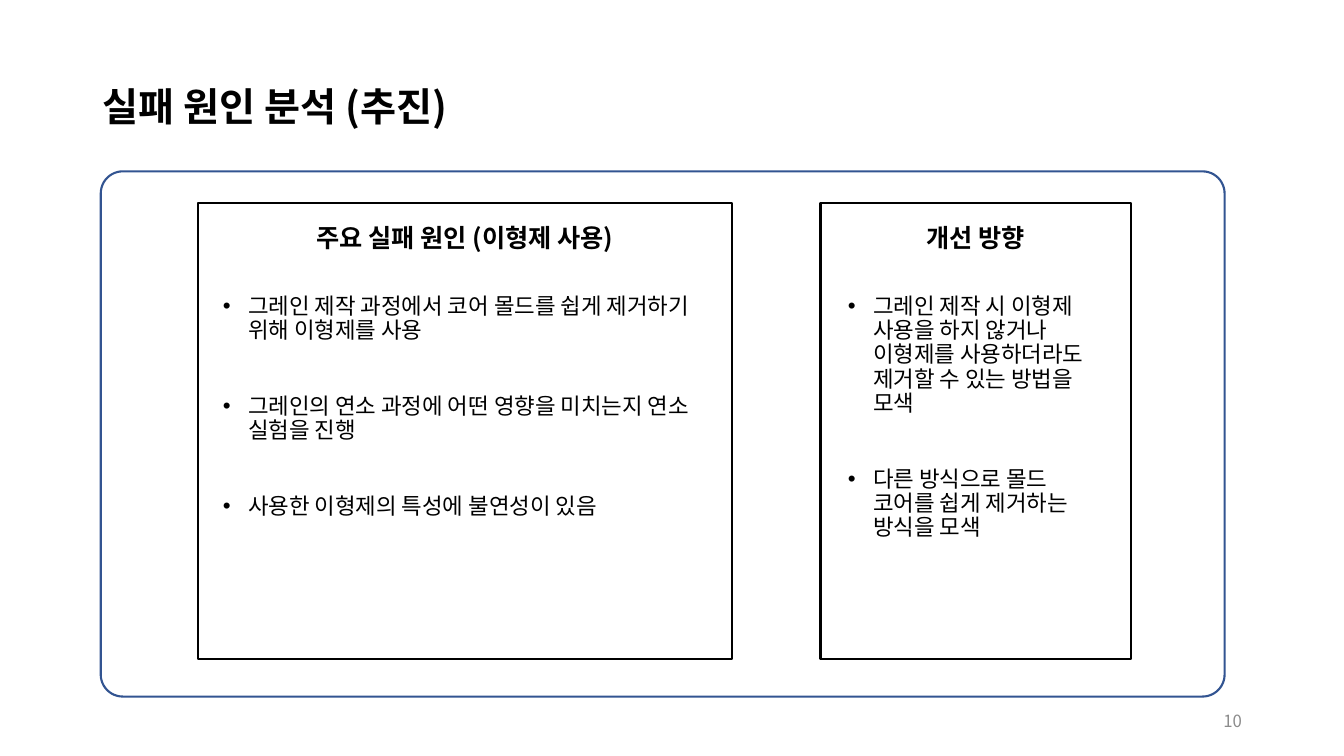
from lxml import etree
from pptx import Presentation
from pptx import util as u
from pptx.dml.color import RGBColor
from pptx.enum import shapes, text
from pptx.oxml import ns

FONT = "Noto Sans CJK KR"
COLORS = {"ink": "000000", "frame": "325491", "page": "8C8C8C"}
TITLE = "실패 원인 분석 (추진)"
PAGE = "10"
PANELS = [
    {
        "heading": "주요 실패 원인 (이형제 사용)",
        "column": (14.7, 39.75),
        "list_column": (15.83, 37.05),
        "items": [
            "그레인 제작 과정에서 코어 몰드를 쉽게 제거하기 위해 이형제를 사용",
            "그레인의 연소 과정에 어떤 영향을 미치는지 연소 실험을 진행",
            "사용한 이형제의 특성에 불연성이 있음",
        ],
    },
    {
        "heading": "개선 방향",
        "column": (61.05, 23.1),
        "list_column": (62.33, 20.25),
        "items": [
            "그레인 제작 시 이형제 사용을 하지 않거나 이형제를 사용하더라도 제거할 수 있는 방법을 모색",
            "다른 방식으로 몰드 코어를 쉽게 제거하는 방식을 모색",
        ],
    },
]
ROWS = {"panel": (26.8, 60.4), "heading": (28.8, 5.33), "list": (38.4, 46)}
FRAME = (7.5, 22.67), (83.62, 69.47)
TITLE_AREA = (6.9, 4.67), (86.25, 19.33)
PAGE_AREA = (70.65, 92.67), (22.5, 5.33)

presentation = Presentation()
presentation.slide_width = u.Inches(13.33)
presentation.slide_height = u.Inches(7.5)
slide = presentation.slides.add_slide(presentation.slide_layouts[3])


def area(start, size):
    width, height = presentation.slide_width, presentation.slide_height
    return [int(share * full / 100) for share, full in
            zip((*start, *size), (width, height, width, height))]


def cell(column, row):
    return area((column[0], row[0]), (column[1], row[1]))


def place(shape, box):
    shape.left, shape.top, shape.width, shape.height = box


def add_outline(kind, box, color):
    shape = slide.shapes.add_shape(kind, *box)
    shape.shadow.inherit = False
    shape.fill.background()
    shape.line.color.rgb = RGBColor.from_string(COLORS[color])
    shape.line.width = u.Pt(1.5)
    return shape


def add_bullet(paragraph):
    properties = paragraph._p.get_or_add_pPr()
    indent = u.Inches(0.25)
    properties.set("marL", str(indent))
    properties.set("indent", str(-indent))
    font = etree.SubElement(properties, ns.qn("a:buFont"))
    font.set("typeface", "Arial")
    etree.SubElement(properties, ns.qn("a:buChar")).set("char", "•")


def write(shape, lines, size, color="ink", bold=False, align=text.PP_ALIGN.LEFT,
          anchor=text.MSO_ANCHOR.TOP, spacing=1.0, gap=0, bullets=False):
    frame = shape.text_frame
    frame.word_wrap = True
    frame.auto_size = text.MSO_AUTO_SIZE.NONE
    frame.vertical_anchor = anchor
    for index, line in enumerate(lines):
        paragraph = frame.add_paragraph() if index else frame.paragraphs[0]
        if bullets:
            add_bullet(paragraph)
        paragraph.alignment = align
        paragraph.line_spacing = spacing
        paragraph.space_before = u.Pt(gap if index else 0)
        run = paragraph.add_run()
        run.text = line
        run.font.size = u.Pt(size)
        run.font.bold = bold
        run.font.color.rgb = RGBColor.from_string(COLORS[color])
        run.font.name = FONT
        east_asian = etree.SubElement(run._r.get_or_add_rPr(), ns.qn("a:ea"))
        east_asian.set("typeface", FONT)


frame = add_outline(shapes.MSO_SHAPE.ROUNDED_RECTANGLE, area(*FRAME), "frame")
frame.adjustments[0] = 0.042

title, *lists = slide.placeholders
place(title, area(*TITLE_AREA))
write(title, [TITLE], 28, bold=True, anchor=text.MSO_ANCHOR.MIDDLE, spacing=0.9)

for panel, body in zip(PANELS, lists):
    add_outline(shapes.MSO_SHAPE.RECTANGLE, cell(panel["column"], ROWS["panel"]), "ink")
    heading = slide.shapes.add_textbox(*cell(panel["column"], ROWS["heading"]))
    write(heading, [panel["heading"]], 18, bold=True, align=text.PP_ALIGN.CENTER)
    place(body, cell(panel["list_column"], ROWS["list"]))
    write(body, panel["items"], 16, spacing=0.9, gap=37, bullets=True)

page = slide.shapes.add_textbox(*area(*PAGE_AREA))
write(page, [PAGE], 12, color="page", align=text.PP_ALIGN.RIGHT,
      anchor=text.MSO_ANCHOR.MIDDLE)

presentation.save("out.pptx")
